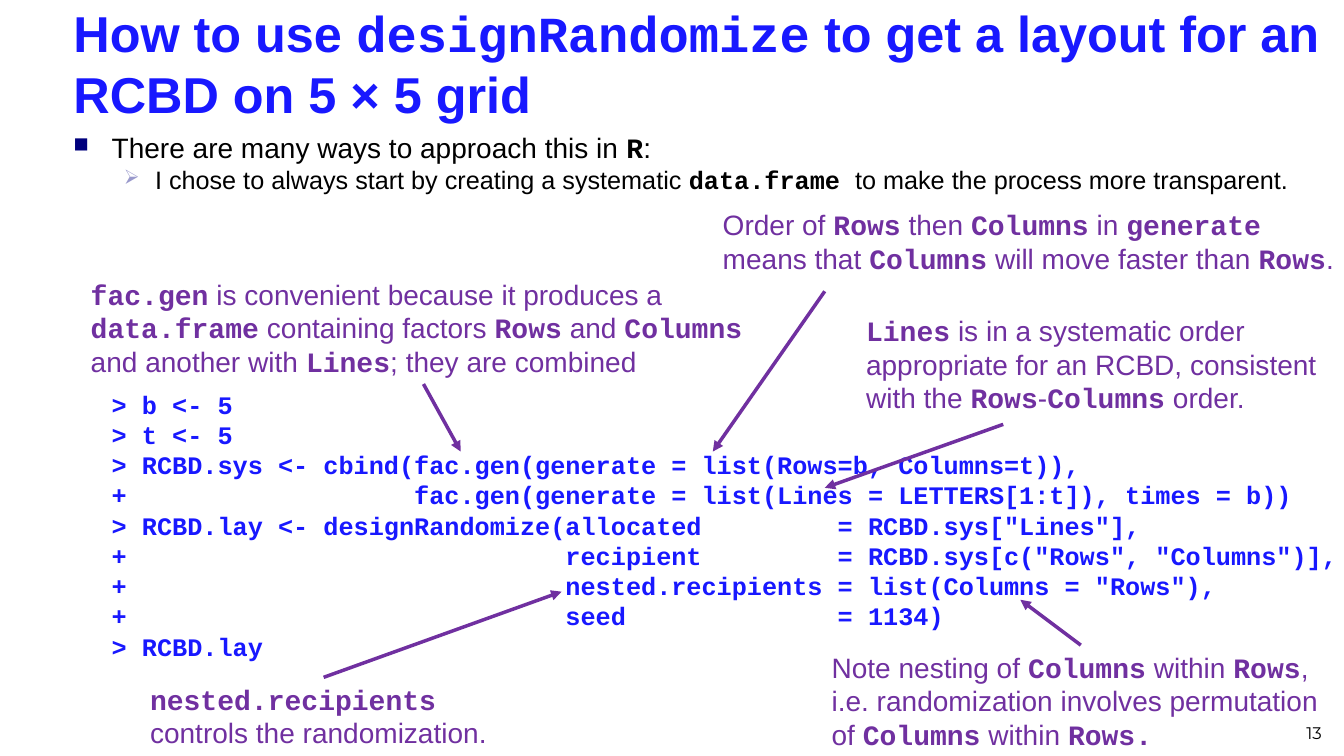
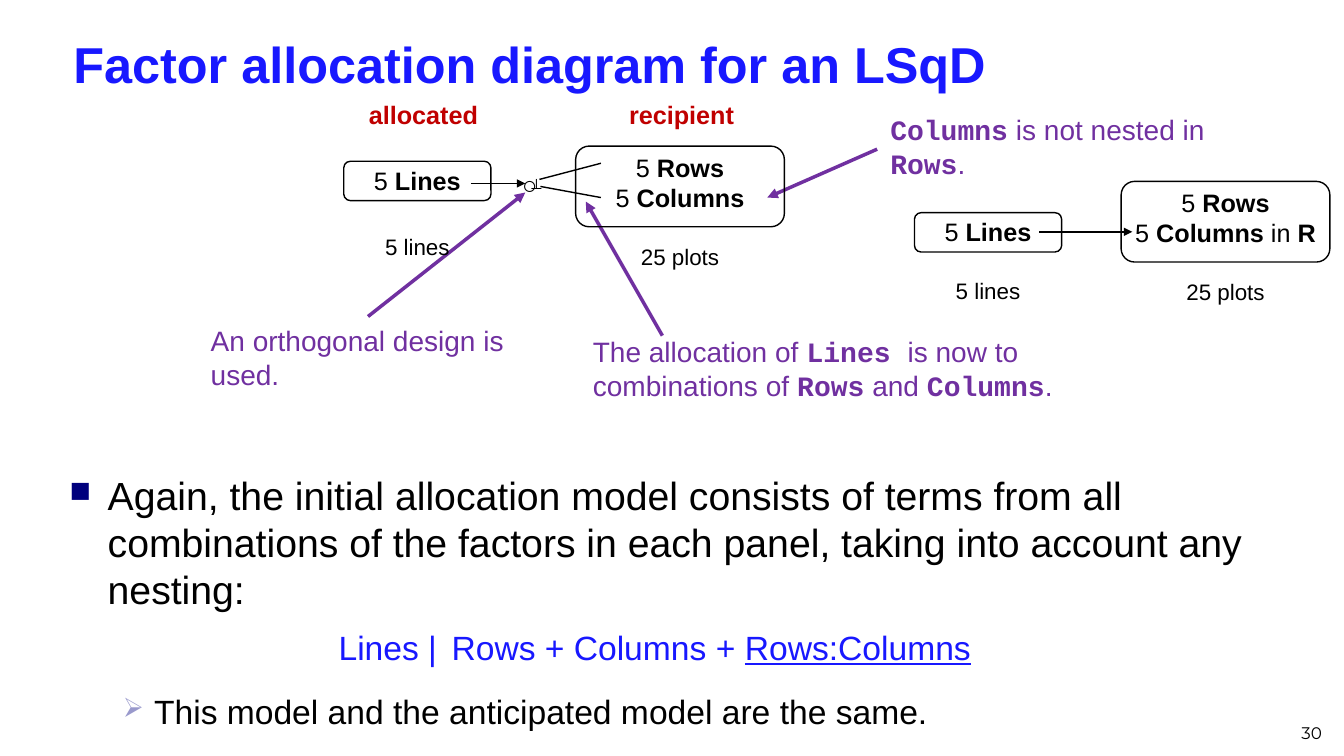
import pptx
import pptx.util
import pptx.dml.color
import pptx.enum.shapes
import pptx.enum.text
import pptx.oxml.ns
import lxml.etree

Inches = pptx.util.Inches
Pt = pptx.util.Pt
ALIGN = pptx.enum.text.PP_ALIGN
ANCHOR = pptx.enum.text.MSO_ANCHOR
SHAPE = pptx.enum.shapes.MSO_SHAPE
LINK = pptx.enum.shapes.MSO_CONNECTOR

BLUE, PURPLE, RED, BLACK = "1818FF", "7030A0", "C00000", "000000"
SANS, MONO = "Arial", "Courier New"
LEADING = 1.2
PAD = (0.1, 0.05)
WIDE = (0.13, 0.07)
TIGHT = (0.01, 0.02)
MAIN = {"char": "■", "hue": "00007D", "size": 75, "left": 0.38, "hang": -0.38}
SUB = {"char": "➢", "hue": "9999CC", "size": 80, "left": 0.81, "hang": -0.31}


def paint(code):
    return pptx.dml.color.RGBColor.from_string(code)


def assign(target, values):
    for name, value in values.items():
        setattr(target, name, value)


def child(parent, tag, **values):
    node = lxml.etree.SubElement(parent, pptx.oxml.ns.qn(tag))
    for name, value in values.items():
        node.set(name, str(value))
    return node


def pieces(line):
    for i, part in enumerate(line.split("`")):
        if i % 2:
            yield part, {"name": MONO, "bold": True}
            continue
        for j, bit in enumerate(part.split("*")):
            for k, word in enumerate(bit.split("_")):
                form = {"bold": True} if j % 2 else {}
                if k % 2:
                    form["underline"] = True
                if word:
                    yield word, form


def indent(para, left, hang=0):
    props = para._p.get_or_add_pPr()
    props.set("marL", str(Inches(left)))
    props.set("indent", str(Inches(hang)))
    return props


def bullet(para, mark):
    props = indent(para, mark["left"], mark["hang"])
    child(child(props, "a:buClr"), "a:srgbClr", val=mark["hue"])
    child(props, "a:buSzPct", val=mark["size"] * 1000)
    child(props, "a:buChar", char=mark["char"])


def write(para, line, size, hue, align=ALIGN.LEFT, font=SANS, bold=False):
    assign(para, {"alignment": align, "line_spacing": Pt(round(size * LEADING, 1))})
    for words, form in pieces(line):
        run = para.add_run()
        run.text = words
        assign(run.font, {"name": font, "size": Pt(size), "bold": bold, **form})
        run.font.color.rgb = paint(hue)


def fill(shape, lines, size, hue, pad=PAD, anchor=ANCHOR.TOP, wrap=True, **style):
    frame = shape.text_frame
    across, down = map(Inches, pad)
    assign(frame, {
        "word_wrap": wrap, "vertical_anchor": anchor,
        "margin_left": across, "margin_right": across,
        "margin_top": down, "margin_bottom": down,
    })
    for i, line in enumerate(lines):
        para = frame.add_paragraph() if i else frame.paragraphs[0]
        write(para, line, size, hue, **style)
    return frame.paragraphs


def text(slide, box, lines, size=20, hue=BLACK, **style):
    shape = slide.shapes.add_textbox(*map(Inches, box))
    return fill(shape, lines, size, hue, **style)


def line(slide, start, end, hue=PURPLE, width=2.5, arrow=True):
    link = slide.shapes.add_connector(LINK.STRAIGHT, *map(Inches, start + end))
    link.line.color.rgb = paint(hue)
    link.line.width = Pt(width)
    if arrow:
        child(link.line._get_or_add_ln(), "a:tailEnd", type="triangle")
    child(link._element.spPr, "a:effectLst")


def note(slide, box, lines, arrow, pad=PAD):
    text(slide, box, lines, 20, PURPLE, pad=pad)
    line(slide, *arrow)


def base(deck, title, number):
    slide = deck.slides.add_slide(deck.slide_layouts[6])
    text(slide, (0.63, 0.23, 12.6, 0.79), [title], 36, BLUE, anchor=ANCHOR.MIDDLE, bold=True)
    text(slide, (10.1, 6.92, 3.11, 0.5), [str(number)], 12,
         anchor=ANCHOR.BOTTOM, align=ALIGN.RIGHT, font="Montserrat")
    return slide


def listing(slide, box):
    call = "> RCBD.lay <- designRandomize("
    args = [
        ("allocated", 'RCBD.sys["Lines"],'),
        ("recipient", 'RCBD.sys[c("Rows", "Columns")],'),
        ("nested.recipients", 'list(Columns = "Rows"),'),
        ("seed", "1134)"),
    ]
    bind = "> RCBD.sys <- cbind("
    rows = [
        "> b <- 5",
        "> t <- 5",
        bind + "fac.gen(generate = list(Rows=b, Columns=t)),",
        "+".ljust(len(bind)) + "fac.gen(generate = list(Lines = LETTERS[1:t]), times = b))",
    ]
    for i, (name, value) in enumerate(args):
        lead = "+" if i else call
        rows.append(lead.ljust(len(call)) + name.ljust(18) + "= " + value)
    rows.append("> RCBD.lay")
    for para in text(slide, box, [f"`{row}`" for row in rows], 18, BLUE):
        indent(para, 0.38)


def panel(slide, box, lines, label, gap):
    left, top, width, height = box
    shape = slide.shapes.add_shape(SHAPE.ROUNDED_RECTANGLE, *map(Inches, box))
    shape.shadow.inherit = False
    shape.fill.background()
    shape.line.color.rgb = paint(BLACK)
    shape.line.width = Pt(1)
    fill(shape, lines, 18, BLACK, pad=TIGHT, align=ALIGN.CENTER)
    text(slide, (left, top + height + gap, width, 0.37), [label], 16, align=ALIGN.CENTER)


def joint(slide, left, top):
    text(slide, (left, top, 0.42, 0.4), ["○"], 18, wrap=False)
    text(slide, (left + 0.06, top + 0.03, 0.31, 0.3), ["⊥"], 12)
    for start, end in (((0.28, 0.22), (0.88, 0.33)), ((0.27, 0.15), (0.88, -0.01))):
        line(slide, (left + start[0], top + start[1]), (left + end[0], top + end[1]),
             BLACK, 1, False)
    line(slide, (left - 0.41, top + 0.19), (left + 0.13, top + 0.19), BLACK, 1)


def layout(deck):
    slide = base(deck, "How to use `designRandomize` to get a layout for an RCBD on 5 × 5 grid", 13)
    listing(slide, (0.63, 3.81, 12.78, 2.8))
    box = (0.63, 1.25, 12.6, 0.77)
    bullet(text(slide, box, ["There are many ways to approach this in `R`:"])[0], MAIN)
    para = slide.shapes[-1].text_frame.add_paragraph()
    write(para, "I chose to always start by creating a systematic `data.frame `"
          "to make the process more transparent.", 18, BLACK)
    bullet(para, SUB)
    note(slide, (8.46, 3.04, 4.88, 1.17),
         ["`Lines` is in a systematic order appropriate for an RCBD, "
          "consistent with the `Rows`-`Columns` order."],
         ((9.95, 4.21), (8.18, 4.84)), WIDE)
    note(slide, (7.07, 2.01, 6.27, 0.77),
         ["Order of `Rows` then `Columns` in `generate` means that "
          "`Columns` will move faster than `Rows`."],
         ((8.18, 2.89), (7.07, 4.48)))
    note(slide, (1.39, 6.72, 3.64, 0.77),
         ["`nested.recipients` controls the randomization."],
         ((3.21, 6.72), (5.57, 5.87)))
    note(slide, (0.77, 2.68, 6.85, 1.13),
         ["`fac.gen` is convenient because it produces a `data.frame` containing factors "
          "`Rows` and `Columns` and another with `Lines`; they are combined"],
         ((4.2, 3.81), (4.57, 4.48)), WIDE)
    note(slide, (8.15, 6.4, 5.14, 1.11),
         ["Note nesting of `Columns` within `Rows`,",
          "i.e. randomization involves permutation of `Columns` within `Rows.`"],
         ((10.72, 6.4), (10.12, 5.95)))


def diagram(deck):
    slide = base(deck, "Factor allocation diagram for an LSqD", 30)
    bullet(text(slide, (0.59, 4.63, 12.6, 1.57),
                ["Again, the initial allocation model consists of terms from all combinations "
                 "of the factors in each panel, taking into account any nesting:"], 28)[0], MAIN)
    joint(slide, 5.08, 1.63)
    note(slide, (8.7, 1.05, 3.39, 0.86), ["`Columns` is not nested in `Rows`."],
         ((8.7, 1.48), (7.61, 1.96)), WIDE)
    note(slide, (5.75, 3.25, 5.02, 0.86),
         ["The allocation of `Lines `is now to combinations of `Rows` and `Columns`."],
         ((6.57, 3.33), (5.81, 2)), WIDE)
    note(slide, (1.96, 3.14, 3.39, 0.86), ["An orthogonal design is used."],
         ((3.65, 3.14), (5.21, 1.91)), WIDE)
    for left, top, gap in ((3.41, 1.6, 0.27), (9.07, 2.11, 0.2)):
        panel(slide, (left, top, 1.46, 0.39), ["5 *Lines*"], "5 lines", gap)
    for left, top, last in ((5.71, 1.45, "5 *Columns*"), (11.12, 1.8, "5 *Columns* in *R*")):
        panel(slide, (left, top, 2.07, 0.8), ["5 *Rows*", last], "25 plots", 0.11)
    line(slide, (10.31, 2.3), (11.23, 2.3), BLACK, 1)
    for left, head in ((3.47, "allocated"), (6.03, "recipient")):
        text(slide, (left, 0.94, 1.46, 0.4), [head], 18, RED, align=ALIGN.CENTER, bold=True)
    text(slide, (3.26, 6.17, 1.38, 0.5), ["Lines |"], 24, BLUE)
    text(slide, (4.38, 6.17, 6.49, 0.5), ["Rows + Columns + _Rows:Columns_"], 24, BLUE)
    bullet(text(slide, (0.62, 6.81, 12.71, 0.53),
                ["This model and the anticipated model are the same."], 24)[0], SUB)


def main():
    deck = pptx.Presentation()
    assign(deck, {"slide_width": Inches(13.33), "slide_height": Inches(7.5)})
    layout(deck)
    diagram(deck)
    deck.save("out.pptx")


if __name__ == "__main__":
    main()
